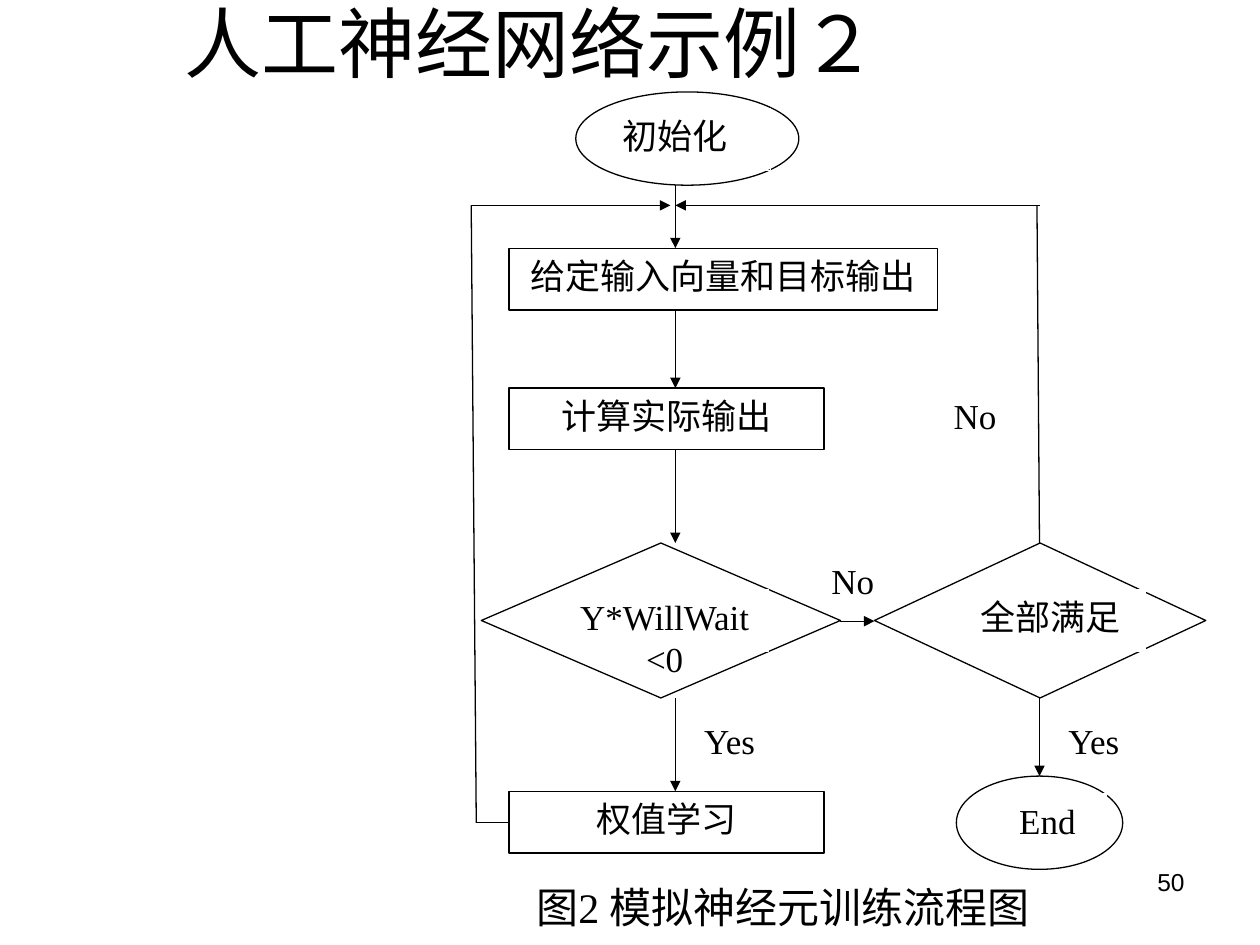
from lxml import etree
from pptx import Presentation, util as u
from pptx.dml.color import RGBColor
from pptx.enum import shapes, text
from pptx.oxml import ns

COLORS = {"ink": "000000", "paper": "FFFFFF"}
SERIF, SANS = "Times New Roman", "Arial"
KIND = shapes.MSO_SHAPE
ALIGN = text.PP_ALIGN
ANCHOR = text.MSO_ANCHOR


def color(name):
    """Return a named colour."""
    return RGBColor.from_string(COLORS[name])


def place(box, left, top, width, height):
    """Turn inches relative to a box into slide lengths."""
    return [u.Inches(n) for n in (box[0] + left, box[1] + top, width, height)]


def write(shape, words, size, font, align, anchor=ANCHOR.TOP):
    """Set the single paragraph of a shape."""
    frame = shape.text_frame
    frame.word_wrap = True
    frame.vertical_anchor = anchor
    paragraph = frame.paragraphs[0]
    paragraph.text = words
    paragraph.alignment = align
    paragraph.font.size = u.Pt(size)
    paragraph.font.name = font
    paragraph.font.color.rgb = color("ink")


def add_text(slide, box, words, size, font, align, anchor):
    """Add a text box that fills the given box."""
    shape = slide.shapes.add_textbox(*[u.Inches(n) for n in box])
    write(shape, words, size, font, align, anchor)
    return shape


def add_caption(slide, box):
    """Add the figure caption on one unbroken line."""
    caption = add_text(slide, box, "图2 模拟神经元训练流程图", 24, SERIF, ALIGN.CENTER, ANCHOR.MIDDLE)
    frame = caption.text_frame
    frame.margin_left = frame.margin_right = 0
    frame.word_wrap = False
    frame.auto_size = text.MSO_AUTO_SIZE.SHAPE_TO_FIT_TEXT


def add_node(slide, box, kind, bounds, words="", align=ALIGN.CENTER,
             line="ink", width=0.75, filled=True):
    """Add a flowchart shape with optional words."""
    shape = slide.shapes.add_shape(kind, *place(box, *bounds))
    shape.shadow.inherit = False
    if filled:
        shape.fill.solid()
        shape.fill.fore_color.rgb = color("paper")
    else:
        shape.fill.background()
    shape.line.color.rgb = color(line)
    shape.line.width = u.Pt(width)
    if words:
        write(shape, words, 20, SERIF, align)


def add_label(slide, box, bounds, words, align=ALIGN.JUSTIFY, width=0, filled=True):
    """Add words on a white-edged rectangle."""
    add_node(slide, box, KIND.RECTANGLE, bounds, words, align, "paper", width, filled)


def add_line(slide, box, start, end, arrow=True):
    """Add a straight line between two points of a box."""
    points = [u.Inches(origin + n) for point in (start, end) for origin, n in zip(box, point)]
    connector = slide.shapes.add_connector(shapes.MSO_CONNECTOR.STRAIGHT, *points)
    connector.line.color.rgb = color("ink")
    connector.line.width = u.Pt(0.75)
    if arrow:
        etree.SubElement(connector.line._get_or_add_ln(), ns.qn("a:tailEnd"), type="triangle")
    etree.SubElement(connector._element.spPr, ns.qn("a:effectLst"))


def add_training_column(slide, box):
    """Draw the training steps and the loop back on their left."""
    axis, step_left, step_height = 1.62, 0.3, 0.49
    add_node(slide, box, KIND.OVAL, (0.83, 0, 1.77, 0.74))
    add_label(slide, box, (1.1, 0.13, 1.27, 0.49), "初始化", width=0.25, filled=False)
    steps = [(1.24, 3.4, "给定输入向量和目标输出"), (2.35, 2.5, "计算实际输出"), (5.55, 2.5, "权值学习")]
    for top, width, words in steps:
        add_node(slide, box, KIND.RECTANGLE, (step_left, top, width, step_height), words)
    add_node(slide, box, KIND.FLOWCHART_DECISION, (0.08, 3.58, 2.85, 1.23))
    for start, end in [(0.74, 1.24), (1.73, 2.35), (2.84, 3.58), (4.81, 5.55)]:
        add_line(slide, box, (axis, start), (axis, end))
    add_label(slide, box, (1.75, 4.93, 0.85, 0.37), "Yes")
    add_label(slide, box, (0.71, 3.95, 1.65, 0.49), "Y*WillWait<0", ALIGN.CENTER)
    loop = [(step_left, 5.8), (0.04, 5.8), (0, 0.9), (1.58, 0.9)]
    for index in range(3):
        add_line(slide, box, loop[index], loop[index + 1], arrow=index == 2)


def add_stopping_branch(slide, box):
    """Draw the stopping test, the end and the loop back above them."""
    axis = 1.58
    add_node(slide, box, KIND.FLOWCHART_DECISION, (0.27, 3.58, 2.63, 1.23))
    add_line(slide, box, (0, 4.2), (0.27, 4.2))
    add_label(slide, box, (0.92, 3.95, 1.5, 0.49), "全部满足", ALIGN.CENTER)
    add_line(slide, box, (axis, 4.81), (axis, 5.43))
    add_node(slide, box, KIND.OVAL, (0.92, 5.43, 1.32, 0.74))
    labels = [(-0.17, 3.66, 0.74, "No"), (1.71, 4.93, 0.71, "Yes"),
              (1.32, 5.57, 0.79, "End"), (0.8, 2.35, 0.68, "No")]
    for left, top, width, words in labels:
        add_label(slide, box, (left, top, width, 0.37), words)
    add_line(slide, box, (axis, 3.58), (1.56, 0.9), arrow=False)
    add_line(slide, box, (axis, 0.9), (-1.31, 0.9))


def main():
    """Build and save the slide."""
    presentation = Presentation()
    presentation.slide_width, presentation.slide_height = u.Inches(10), u.Inches(7.5)
    slide = presentation.slides.add_slide(presentation.slide_layouts[6])
    add_text(slide, (7.17, 6.83, 2.33, 0.52), "50", 14, SANS, ALIGN.RIGHT, ANCHOR.TOP)
    add_text(slide, (-0.28, -0.5, 9, 1.25), "人工神经网络示例２", 44, SANS, ALIGN.CENTER, ANCHOR.BOTTOM)
    add_caption(slide, (4.08, 6.95, 4.27, 0.5))
    add_training_column(slide, (3.74, 0.73))
    add_stopping_branch(slide, (6.67, 0.73))
    presentation.save("out.pptx")


if __name__ == "__main__":
    main()
